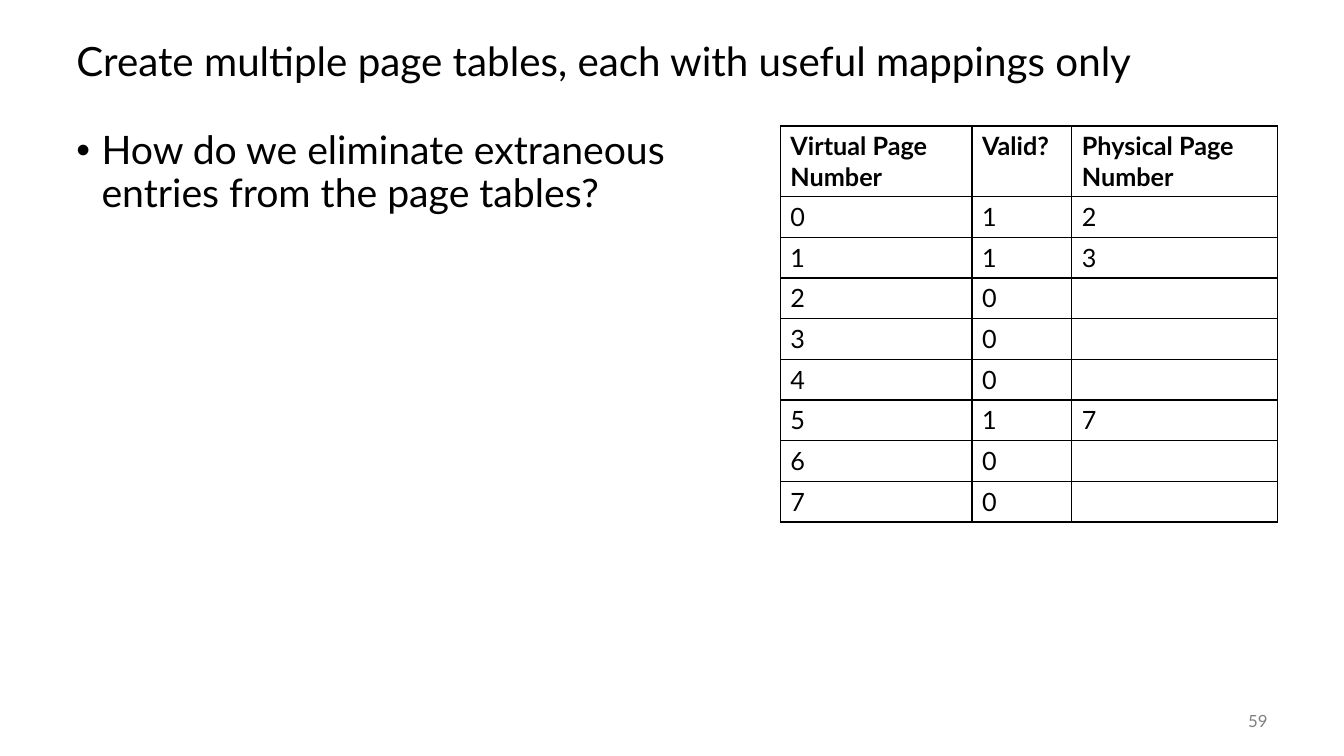
from lxml import etree
from pptx import Presentation
from pptx.dml.color import RGBColor
from pptx.enum.text import MSO_ANCHOR, PP_ALIGN
from pptx.oxml.ns import qn
from pptx.util import Inches, Pt

LEFT, RIGHT = PP_ALIGN.LEFT, PP_ALIGN.RIGHT
TOP, MIDDLE = MSO_ANCHOR.TOP, MSO_ANCHOR.MIDDLE

COLORS = {"ink": "000000", "muted": "808080", "paper": "FFFFFF"}
FONT = "Lato"

# Layout grid, in inches
SLIDE_W, SLIDE_H = 13.33, 7.5
MARGIN_X, CONTENT_Y = 0.66, 1.25
CONTENT_W = 12
RIGHT_EDGE = 12.67
COLUMN_WIDTHS = [1.9, 0.99, 2.04]
TABLE_H, HEADER_H = 3.93, 0.7

HEADERS = ["Virtual Page Number", "Valid?", "Physical Page Number"]
PHYSICAL_PAGES = {0: 2, 1: 3, 5: 7}
VIRTUAL_PAGE_COUNT = 8


def style_paragraph(paragraph, size, color="ink", bold=False):
    font = paragraph.font
    font.name, font.size, font.bold = FONT, Pt(size), bold
    font.color.rgb = RGBColor.from_string(COLORS[color])


def add_text(slide, area, text, size, color="ink", align=LEFT, anchor=MIDDLE,
             spacing=1.0, bullet=False):
    box = slide.shapes.add_textbox(*map(Inches, area))
    frame = box.text_frame
    frame.word_wrap = True
    frame.vertical_anchor = anchor
    paragraph = frame.paragraphs[0]
    paragraph.text = text
    paragraph.alignment = align
    paragraph.line_spacing = spacing
    if bullet:
        properties = paragraph._p.get_or_add_pPr()
        properties.set("marL", str(Inches(0.25)))
        properties.set("indent", str(-Inches(0.25)))
        etree.SubElement(properties, qn("a:buFont")).set("typeface", "Arial")
        etree.SubElement(properties, qn("a:buChar")).set("char", "•")
    style_paragraph(paragraph, size, color)


def add_borders(cell):
    properties = cell._tc.get_or_add_tcPr()
    for index, side in enumerate(("lnL", "lnR", "lnT", "lnB")):
        line = etree.Element(qn(f"a:{side}"), w=str(Pt(1)))
        fill = etree.SubElement(line, qn("a:solidFill"))
        etree.SubElement(fill, qn("a:srgbClr")).set("val", COLORS["ink"])
        properties.insert(index, line)


def add_page_table(slide, rows):
    width = sum(COLUMN_WIDTHS)
    area = (RIGHT_EDGE - width, CONTENT_Y, width, TABLE_H)
    table = slide.shapes.add_table(
        len(rows), len(COLUMN_WIDTHS), *map(Inches, area)).table
    for column, column_width in zip(table.columns, COLUMN_WIDTHS):
        column.width = Inches(column_width)
    entry_height = (TABLE_H - HEADER_H) / (len(rows) - 1)
    for r, values in enumerate(rows):
        table.rows[r].height = Inches(entry_height if r else HEADER_H)
        for c, value in enumerate(values):
            cell = table.cell(r, c)
            cell.text = str(value)
            cell.fill.solid()
            cell.fill.fore_color.rgb = RGBColor.from_string(COLORS["paper"])
            add_borders(cell)
            style_paragraph(cell.text_frame.paragraphs[0], 18, bold=r == 0)


def main():
    deck = Presentation()
    deck.slide_width, deck.slide_height = Inches(SLIDE_W), Inches(SLIDE_H)
    slide = deck.slides.add_slide(deck.slide_layouts[6])

    # Question
    add_text(slide, (MARGIN_X, CONTENT_Y, 6.46, 5.5),
             "How do we eliminate extraneous entries from the page tables?",
             28, anchor=TOP, spacing=0.9, bullet=True)

    # Title
    add_text(slide, (MARGIN_X, 0.25, CONTENT_W, 0.75),
             "Create multiple page tables, each with useful mappings only",
             28.8, spacing=0.9)

    # Slide number
    add_text(slide, (RIGHT_EDGE - 1, 6.95, 1, 0.4), "59", 12, "muted", RIGHT)

    # Page table: an entry is valid when it maps to a physical page
    entries = [[page, int(page in PHYSICAL_PAGES), PHYSICAL_PAGES.get(page, "")]
               for page in range(VIRTUAL_PAGE_COUNT)]
    add_page_table(slide, [HEADERS] + entries)

    deck.save("out.pptx")


if __name__ == "__main__":
    main()
